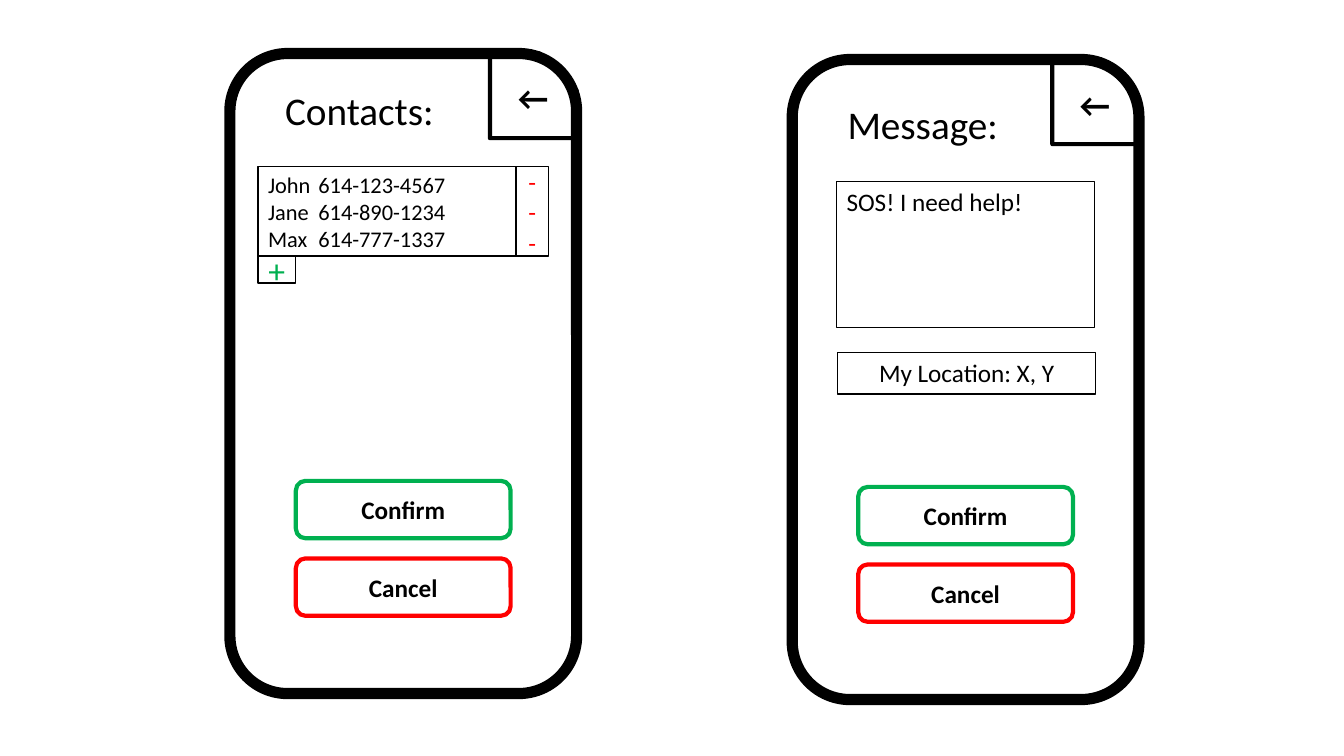
from pptx import Presentation
from pptx import util as u
from pptx.dml.color import RGBColor
from pptx.enum import shapes, text

BLACK = RGBColor(0x00, 0x00, 0x00)
GREEN = RGBColor(0x00, 0xB0, 0x50)
RED = RGBColor(0xFF, 0x00, 0x00)
FONT = "Calibri"
LEFT, CENTER, RIGHT = text.PP_ALIGN.LEFT, text.PP_ALIGN.CENTER, text.PP_ALIGN.RIGHT
TOP, MIDDLE = text.MSO_ANCHOR.TOP, text.MSO_ANCHOR.MIDDLE
RECT = shapes.MSO_SHAPE.RECTANGLE
ROUND = shapes.MSO_SHAPE.ROUNDED_RECTANGLE
SNIP = shapes.MSO_SHAPE.SNIP_1_RECTANGLE

PHONE_W, PHONE_H = 247.7, 457.2
FIELD_W = 184.3
BUTTON_W, BUTTON_H, BUTTON_GAP = 153.4, 41, 14.4
BUTTONS_TOP = 305.3


def write(box, lines, size, color=BLACK, bold=False, align=LEFT, anchor=TOP):
    """Fill a box with one paragraph per line, all in the same style."""
    frame = box.text_frame
    frame.word_wrap = True
    frame.vertical_anchor = anchor
    for index, line in enumerate(lines):
        para = frame.paragraphs[0] if index == 0 else frame.add_paragraph()
        para.text = line
        para.alignment = align
        para.font.name = FONT
        para.font.size = u.Pt(size)
        para.font.bold = bold
        para.font.color.rgb = color


class Phone:
    """A phone outline whose elements are placed from its top left corner."""

    def __init__(self, page, left, top):
        self.left, self.top = left, top
        self.group = page.shapes.add_group_shape()

    def place(self, left, top, width, height):
        """Turn a position inside the phone into slide lengths."""
        return [u.Pt(n) for n in (self.left + left, self.top + top, width, height)]

    def outline(self, kind, area, color=BLACK, weight=1):
        """Add an unfilled preset shape."""
        box = self.group.shapes.add_shape(kind, *self.place(*area))
        box.shadow.inherit = False
        box.fill.background()
        box.line.color.rgb = color
        box.line.width = u.Pt(weight)
        return box

    def body(self, snip):
        """Add the back corner and the phone frame over it."""
        back = self.outline(SNIP, (185.8, 0, PHONE_W - 185.8, 60.5), weight=3)
        back.adjustments[0] = snip
        write(back, ["←"], 24, bold=True, align=RIGHT)
        self.outline(ROUND, (0, 0, PHONE_W, PHONE_H), weight=8)

    def title(self, words, top):
        """Add the screen heading."""
        box = self.group.shapes.add_textbox(*self.place(32.4, top, 122.4, 41))
        write(box, [words], 28)

    def buttons(self):
        """Add the confirm and cancel buttons, one under the other."""
        left = (PHONE_W - BUTTON_W) / 2
        for row, (label, color) in enumerate([("Confirm", GREEN), ("Cancel", RED)]):
            top = BUTTONS_TOP + row * (BUTTON_H + BUTTON_GAP)
            button = self.outline(ROUND, (left, top, BUTTON_W, BUTTON_H), color, 3)
            write(button, [label], 18, bold=True, align=CENTER, anchor=MIDDLE)


def contacts_screen(page):
    """Draw the phone with the list of contacts."""
    phone = Phone(page, 164.2, 38.2)
    phone.body(0.437)
    phone.title("Contacts:", 20.2)

    left, top, height = 20.2, 80.6, 64.1
    people = [("John", "614-123-4567"), ("Jane", "614-890-1234"), ("Max", "614-777-1337")]
    names = phone.outline(RECT, (left, top, FIELD_W, height))
    write(names, ["\t".join(person) for person in people], 16)

    remove = phone.outline(RECT, (left + FIELD_W, top, 23, height))
    remove.text_frame.margin_top = 0
    write(remove, ["-"] * len(people), 18, RED, align=CENTER)

    add = phone.outline(RECT, (left, top + height, 26.6, 19.4))
    write(add, ["+"], 24, GREEN, align=CENTER, anchor=MIDDLE)
    phone.buttons()


def message_screen(page):
    """Draw the phone with the emergency message."""
    phone = Phone(page, 565.9, 42.5)
    phone.body(0.45)
    phone.title("Message:", 25.9)
    message = phone.outline(RECT, (31.7, 87.1, FIELD_W, 104.4))
    write(message, ["SOS! I need help!"], 18)
    location = phone.outline(RECT, (32.4, 209.5, FIELD_W, 29.5))
    write(location, ["My Location: X, Y"], 18, align=CENTER)
    phone.buttons()


def main():
    """Build the slide with both phone screens."""
    deck = Presentation()
    deck.slide_width, deck.slide_height = u.Pt(960), u.Pt(540)
    page = deck.slides.add_slide(deck.slide_layouts[6])
    contacts_screen(page)
    message_screen(page)
    deck.save("out.pptx")


main()
